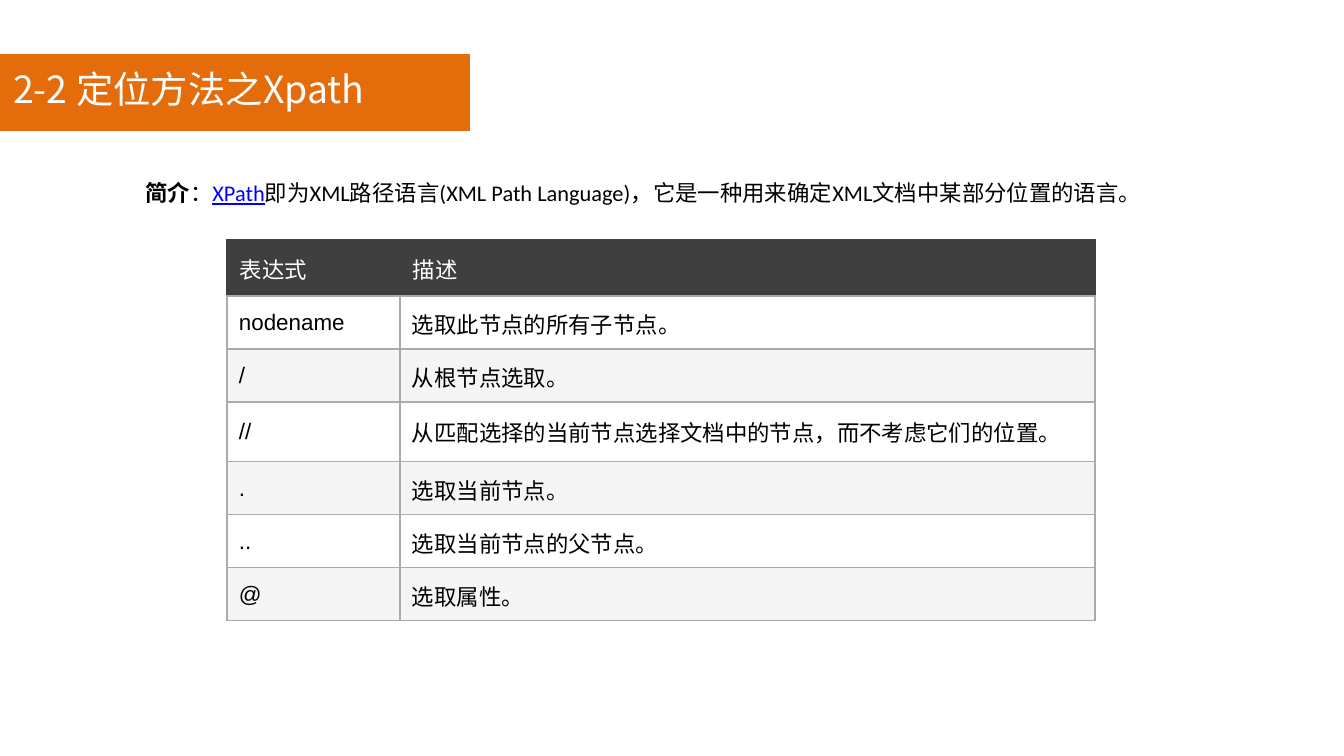
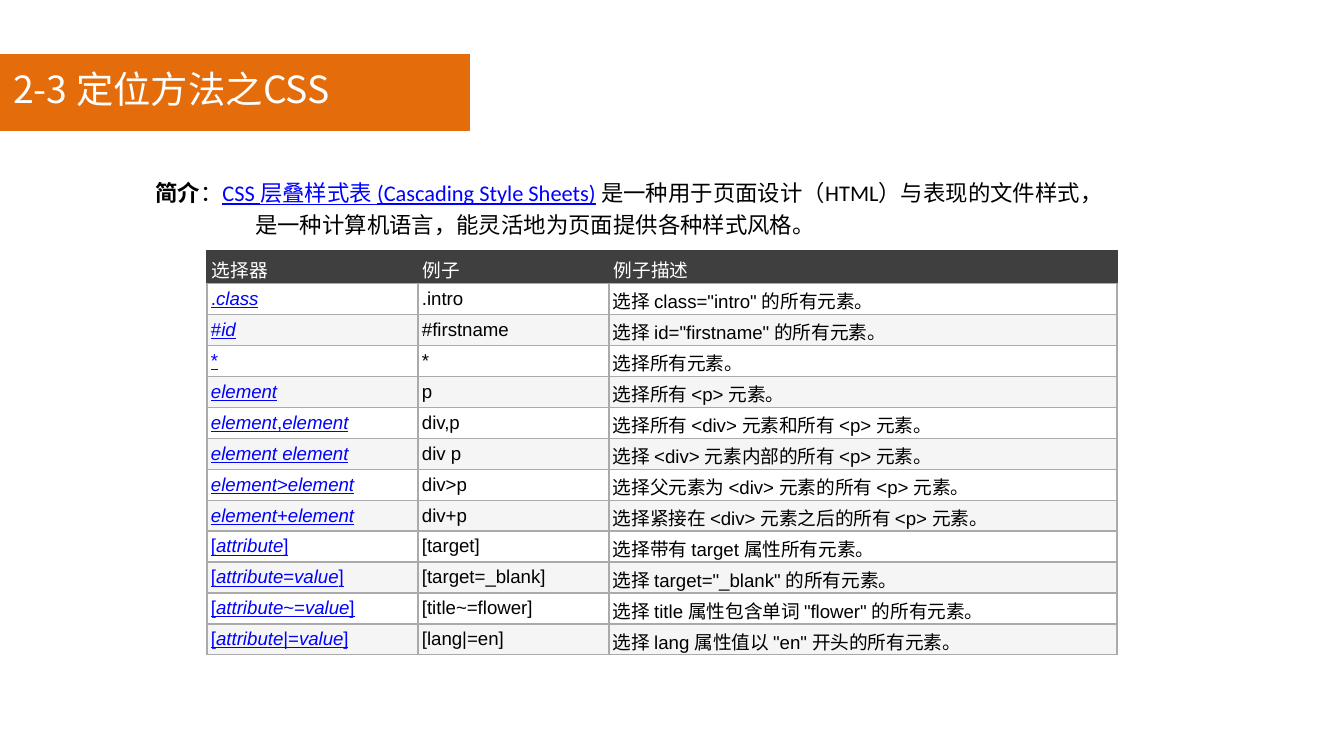
from dataclasses import dataclass
from itertools import groupby

from lxml import etree
from pptx import Presentation
from pptx.dml.color import RGBColor
from pptx.enum.shapes import MSO_SHAPE
from pptx.enum.text import MSO_ANCHOR, MSO_AUTO_SIZE
from pptx.oxml.ns import qn
from pptx.util import Pt

RECTANGLE = MSO_SHAPE.RECTANGLE
MIDDLE = MSO_ANCHOR.MIDDLE
GROW = MSO_AUTO_SIZE.SHAPE_TO_FIT_TEXT
EMU_PER_PX = 914400 / 134.4
BLANK_LAYOUT = 6


@dataclass(frozen=True)
class Theme:
    orange: str = "E46C0A"
    white: str = "FFFFFF"
    black: str = "000000"
    link: str = "0000FF"
    header: str = "3F3F3F"
    stripe: str = "F5F5F5"
    grid: str = "AAAAAA"
    title_font: str = "Noto Sans CJK SC"
    head_font: str = "Calibri"
    body_font: str = "Arial"
    title_size: int = 20
    intro_size: int = 12
    grid_width: float = 0.75


THEME = Theme()


def px(length):
    return round(length * EMU_PER_PX)


def paint(target, color):
    target.fill.solid()
    target.fill.fore_color.rgb = RGBColor.from_string(color)


def add_run(paragraph, text, size, font, color, bold=False, italic=False, underline=False):
    run = paragraph.add_run()
    run.text = text
    run.font.size = Pt(size)
    run.font.name = font
    run.font.color.rgb = RGBColor.from_string(color)
    run.font.bold, run.font.italic, run.font.underline = bold, italic, underline


def add_text_box(slide, box):
    frame = slide.shapes.add_textbox(*map(px, box)).text_frame
    frame.word_wrap = True
    frame.auto_size = GROW
    return frame.paragraphs[0]


# Orange band with the section title
def title_band(slide, box, title):
    left, top, width, height = box
    band = slide.shapes.add_shape(RECTANGLE, *map(px, box))
    band.shadow.inherit = False
    paint(band, THEME.orange)
    band.line.fill.background()
    paragraph = add_text_box(slide, (left, top + 6, width - 30, height - 18))
    add_run(paragraph, title, THEME.title_size, THEME.title_font, THEME.white)


# Introduction: bold label, linked term, explanation
def introduction(slide, box, term, explanation, tab_stop=None):
    paragraph = add_text_box(slide, box)
    paragraph.line_spacing = 1.2
    size = THEME.intro_size
    add_run(paragraph, "简介", size, THEME.body_font, THEME.black, bold=True)
    add_run(paragraph, "：", size, THEME.body_font, THEME.black)
    add_run(paragraph, term, size, THEME.head_font, THEME.link, underline=True)
    add_run(paragraph, explanation, size, THEME.head_font, THEME.black)
    if tab_stop:
        stops = etree.SubElement(paragraph._p.get_or_add_pPr(), qn("a:tabLst"))
        etree.SubElement(stops, qn("a:tab"), pos=str(px(tab_stop)), algn="l")


def set_borders(cell, colors):
    properties = cell._tc.get_or_add_tcPr()
    for index, (side, color) in enumerate(zip("LRTB", colors)):
        line = etree.Element(qn(f"a:ln{side}"), w=str(Pt(THEME.grid_width)))
        fill = etree.SubElement(line, qn("a:solidFill"))
        etree.SubElement(fill, qn("a:srgbClr"), val=color)
        properties.insert(index, line)


def format_cell(cell, fill, inset, borders):
    paint(cell, fill)
    set_borders(cell, borders)
    cell.vertical_anchor = MIDDLE
    cell.margin_left = cell.margin_right = px(inset)
    cell.margin_top = cell.margin_bottom = px(inset)


def write_selector(paragraph, selector, size):
    """Names are italic, the signs between them upright."""
    for is_name, letters in groupby(selector, str.isalpha):
        add_run(paragraph, "".join(letters), size, THEME.body_font, THEME.link,
                italic=is_name, underline=True)


# Reference table: dark header, striped rows
def reference_table(slide, origin, widths, heights, rows, size, inset, linked=False):
    table = slide.shapes.add_table(
        len(rows), len(widths), *map(px, (*origin, sum(widths), sum(heights)))).table
    table.horz_banding = False
    for column, width in zip(table.columns, widths):
        column.width = px(width)
    for row, height in zip(table.rows, heights):
        row.height = px(height)
    for r, texts in enumerate(rows):
        for c, text in enumerate(texts):
            cell = table.cell(r, c)
            paragraph = cell.text_frame.paragraphs[0]
            if r == 0:
                format_cell(cell, THEME.header, inset + 1, [THEME.header] * 3 + [THEME.grid])
                add_run(paragraph, text, size, THEME.head_font, THEME.white)
                continue
            format_cell(cell, THEME.white if r % 2 else THEME.stripe, inset, [THEME.grid] * 4)
            if linked and c == 0:
                write_selector(paragraph, text, size)
            else:
                add_run(paragraph, text, size, THEME.body_font, THEME.black)


XPATH_ROWS = [
    ("表达式", "描述"),
    ("nodename", "选取此节点的所有子节点。"),
    ("/", "从根节点选取。"),
    ("//", "从匹配选择的当前节点选择文档中的节点，而不考虑它们的位置。"),
    (".", "选取当前节点。"),
    ("..", "选取当前节点的父节点。"),
    ("@", "选取属性。"),
]

CSS_ROWS = [
    ("选择器", "例子", "例子描述"),
    (".class", ".intro", '选择 class="intro" 的所有元素。'),
    ("#id", "#firstname", '选择 id="firstname" 的所有元素。'),
    ("*", "*", "选择所有元素。"),
    ("element", "p", "选择所有 <p> 元素。"),
    ("element,element", "div,p", "选择所有 <div> 元素和所有 <p> 元素。"),
    ("element\u00a0element", "div p", "选择 <div> 元素内部的所有 <p> 元素。"),
    ("element>element", "div>p", "选择父元素为 <div> 元素的所有 <p> 元素。"),
    ("element+element", "div+p", "选择紧接在 <div> 元素之后的所有 <p> 元素。"),
    ("[attribute]", "[target]", "选择带有 target 属性所有元素。"),
    ("[attribute=value]", "[target=_blank]", '选择 target="_blank" 的所有元素。'),
    ("[attribute~=value]", "[title~=flower]", '选择 title 属性包含单词 "flower" 的所有元素。'),
    ("[attribute|=value]", "[lang|=en]", '选择 lang 属性值以 "en" 开头的所有元素。'),
]


def new_slide(deck, title):
    slide = deck.slides.add_slide(deck.slide_layouts[BLANK_LAYOUT])
    title_band(slide, (0, 54, 470, 77), title)
    return slide


def xpath_slide(deck):
    slide = new_slide(deck, "2-2 定位方法之Xpath")
    introduction(slide, (132, 167, 1048, 46), "XPath",
                 "即为XML路径语言(XML Path Language)，它是一种用来确定XML文档中某部分位置的语言。")
    reference_table(slide, (227, 240), (173, 695), (56, 53, 53, 60, 53, 53, 53),
                    XPATH_ROWS, size=12, inset=12)


def css_slide(deck):
    slide = new_slide(deck, "2-3 定位方法之CSS")
    introduction(slide, (142, 167, 973, 77),
                 "CSS 层叠样式表 (Cascading\u00a0Style\u00a0Sheets)",
                 " 是一种用于页面设计（HTML）与表现的文件样式，\t"
                 "是一种计算机语言，能灵活地为页面提供各种样式风格。", tab_stop=100)
    reference_table(slide, (207, 251), (211, 191, 508), [32] + [31] * 12,
                    CSS_ROWS, size=10, inset=4, linked=True)


deck = Presentation()
deck.slide_width, deck.slide_height = px(1344), px(756)
xpath_slide(deck)
css_slide(deck)
deck.save("out.pptx")
